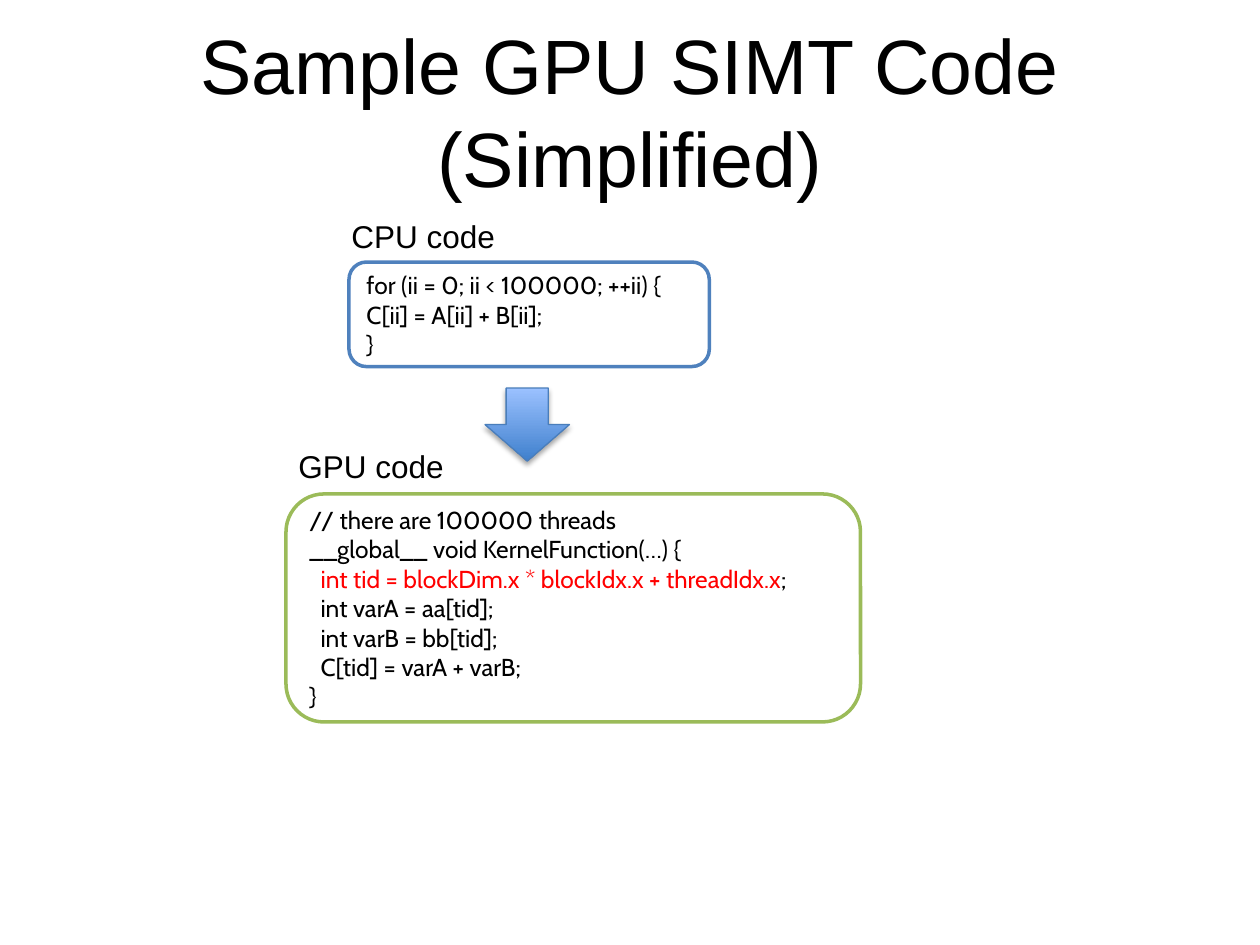
import pptx
import pptx.util
import pptx.dml.color
import pptx.enum.shapes
import pptx.enum.text
import pptx.oxml
import pptx.oxml.ns

WIDTH, HEIGHT = 10, 7.5
COLORS = {
    "text": "000000", "key": "FF0000", "panel": "FFFFFF",
    "cpu": "4F81BD", "gpu": "9BBB59",
    "arrow_top": "9BC1FF", "arrow_bottom": "3F80CD", "arrow_edge": "4A7EBB",
}
FORMATS = {
    "title": {"name": "Arial", "size": pptx.util.Pt(44)},
    "label": {"name": "Arial", "size": pptx.util.Pt(18)},
    "code": {"name": "Cabin", "size": pptx.util.Pt(14)},
}
SHAPES = pptx.enum.shapes.MSO_SHAPE
ALIGN = pptx.enum.text.PP_ALIGN
MIDDLE = pptx.enum.text.MSO_ANCHOR.MIDDLE

# Each line of code is a list of (text, colour) runs
CPU_CODE = [
    [("for (ii = 0; ii < 100000; ++ii) {", "text")],
    [("C[ii] = A[ii] + B[ii];", "text")],
    [("}", "text")],
]
GPU_CODE = [
    [("// there are 100000 threads", "text")],
    [("__global__ void KernelFunction(…) {", "text")],
    [("  ", "text"),
     ("int tid = blockDim.x * blockIdx.x + threadIdx.x", "key"),
     (";", "text")],
    [("  int varA = aa[tid];", "text")],
    [("  int varB = bb[tid];", "text")],
    [("  C[tid] = varA + varB;", "text")],
    [("}", "text")],
]


def rgb(color):
    return pptx.dml.color.RGBColor.from_string(COLORS[color])


def area(left, top, width, height):
    """Turn shares of the slide's size into lengths."""
    return [pptx.util.Inches(share * side) for share, side in
            ((left, WIDTH), (top, HEIGHT), (width, WIDTH), (height, HEIGHT))]


def write(frame, lines, style, align=ALIGN.LEFT):
    for number, line in enumerate(lines):
        paragraph = frame.add_paragraph() if number else frame.paragraphs[0]
        paragraph.alignment = align
        for words, color in line:
            run = paragraph.add_run()
            run.text = words
            for key, value in FORMATS[style].items():
                setattr(run.font, key, value)
            run.font.color.rgb = rgb(color)


def place_title(slide, box, words):
    title = slide.shapes.title
    title.left, title.top, title.width, title.height = area(*box)
    title.text_frame.word_wrap = True
    title.text_frame.vertical_anchor = MIDDLE
    write(title.text_frame, [[(words, "text")]], "title", ALIGN.CENTER)


def place_label(slide, box, words):
    frame = slide.shapes.add_textbox(*area(*box)).text_frame
    frame.word_wrap = False
    frame.auto_size = pptx.enum.text.MSO_AUTO_SIZE.SHAPE_TO_FIT_TEXT
    write(frame, [[(words, "text")]], "label")


def place_code(slide, box, code, edge):
    panel = slide.shapes.add_shape(SHAPES.ROUNDED_RECTANGLE, *area(*box))
    panel.shadow.inherit = False
    panel.fill.solid()
    panel.fill.fore_color.rgb = rgb("panel")
    panel.line.color.rgb = rgb(edge)
    panel.line.width = pptx.util.Pt(2)
    panel.text_frame.word_wrap = True
    panel.text_frame.vertical_anchor = MIDDLE
    write(panel.text_frame, code, "code")


def place_arrow(slide, box):
    arrow = slide.shapes.add_shape(SHAPES.DOWN_ARROW, *area(*box))
    arrow.fill.gradient()
    arrow.fill.gradient_angle = 270
    for stop, color in zip(arrow.fill.gradient_stops, ("arrow_top", "arrow_bottom")):
        stop.color.rgb = rgb(color)
    arrow.line.color.rgb = rgb("arrow_edge")
    arrow.line.width = pptx.util.Pt(0.75)
    # Soft shadow falling straight down
    arrow.shadow.inherit = False
    effects = arrow.element.spPr.find(pptx.oxml.ns.qn("a:effectLst"))
    effects.append(pptx.oxml.parse_xml(
        f'<a:outerShdw {pptx.oxml.ns.nsdecls("a")} blurRad="{pptx.util.Pt(3.1)}" '
        f'dist="{pptx.util.Pt(1.8)}" dir="5400000" rotWithShape="0">'
        f'<a:srgbClr val="{COLORS["text"]}"><a:alpha val="35000"/></a:srgbClr>'
        '</a:outerShdw>'))


def main():
    deck = pptx.Presentation()
    deck.slide_width = pptx.util.Inches(WIDTH)
    deck.slide_height = pptx.util.Inches(HEIGHT)
    slide = deck.slides.add_slide(deck.slide_layouts[5])

    place_title(slide, (0.05, 1 / 30, 0.9, 1 / 6), "Sample GPU SIMT Code (Simplified)")
    # Code before and after, with the arrow between them
    place_code(slide, (0.277, 2.08 / HEIGHT, 0.286, 0.83 / HEIGHT), CPU_CODE, "cpu")
    place_code(slide, (0.227, 3.92 / HEIGHT, 0.456, 1.81 / HEIGHT), GPU_CODE, "gpu")
    place_arrow(slide, (0.385, 3.08 / HEIGHT, 0.067, 0.58 / HEIGHT))
    # Labels above the panels
    place_label(slide, (0.269, 1.67 / HEIGHT, 0.135, 0.4 / HEIGHT), "CPU code")
    place_label(slide, (0.227, 3.5 / HEIGHT, 0.137, 0.4 / HEIGHT), "GPU code")

    deck.save("out.pptx")


if __name__ == "__main__":
    main()
